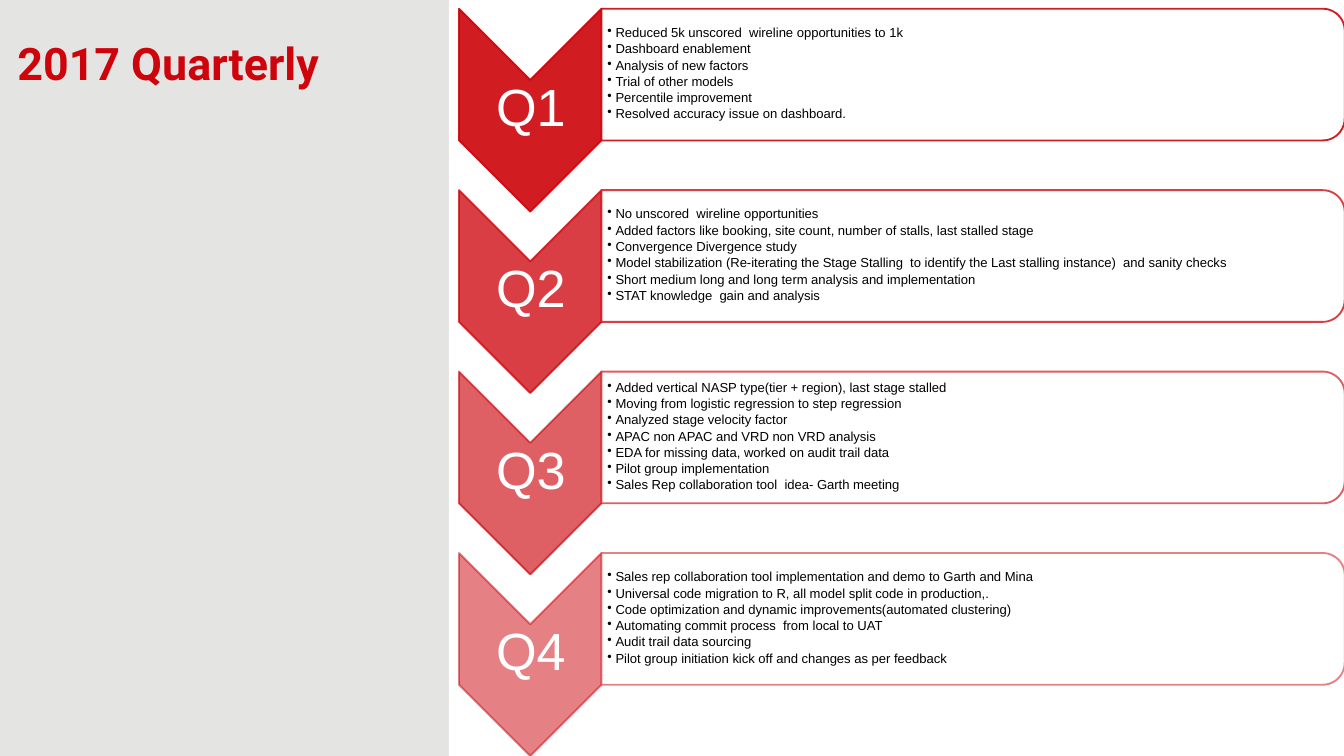
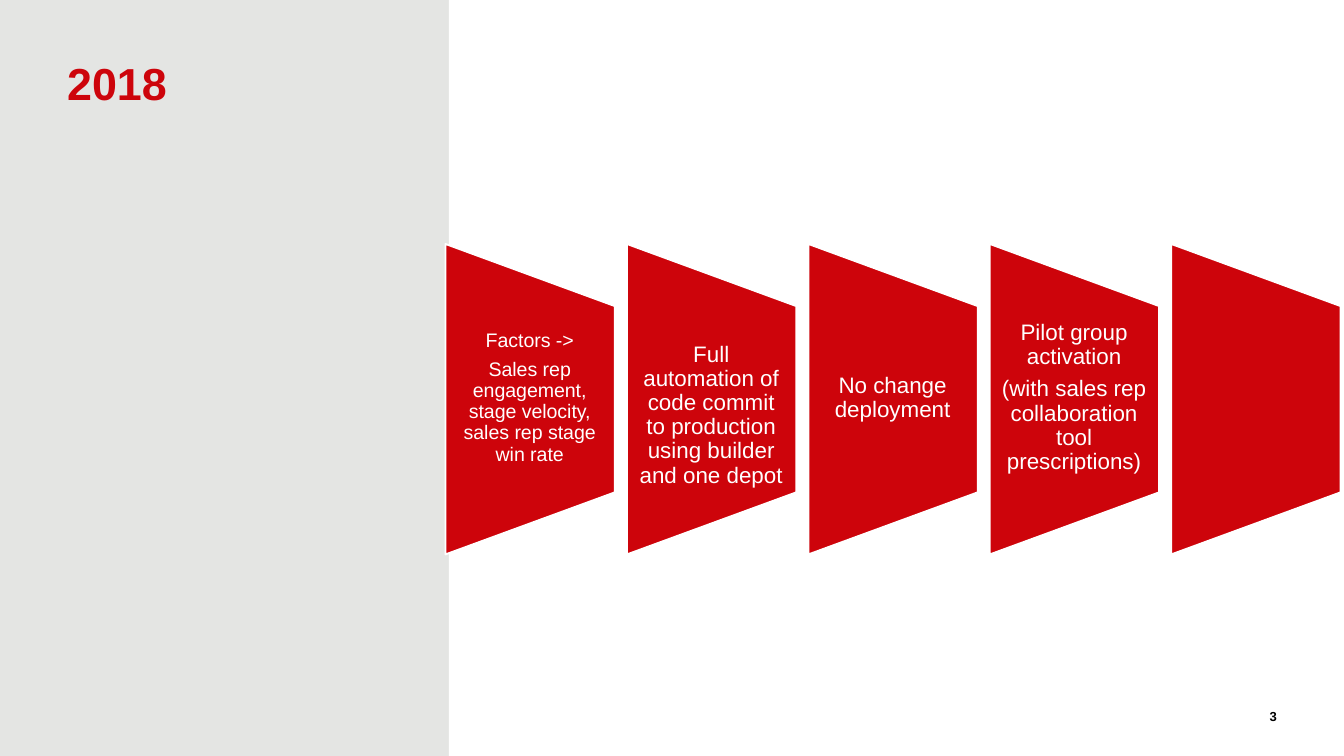
from lxml.etree import SubElement
from pptx import Presentation
from pptx.dml.color import RGBColor
from pptx.enum.shapes import MSO_SHAPE
from pptx.enum.text import MSO_ANCHOR, PP_ALIGN
from pptx.oxml.ns import qn
from pptx.util import Emu, Pt

RED = RGBColor(0xCD, 0x04, 0x0B)
GREY = RGBColor(0xE4, 0xE5, 0xE3)
WHITE = RGBColor(0xFF, 0xFF, 0xFF)
BLACK = RGBColor(0x00, 0x00, 0x00)
SCALE = 4572
PAGE_WIDTH, PAGE_HEIGHT = 2000, 1125
SIDEBAR_WIDTH = 668
PITCH = 270

QUARTERS = [
    ("Q1", 90, [
        "Reduced 5k unscored  wireline opportunities to 1k",
        "Dashboard enablement",
        "Analysis of new factors",
        "Trial of other models",
        "Percentile improvement",
        "Resolved accuracy issue on dashboard.",
    ]),
    ("Q2", 77, [
        "No unscored  wireline opportunities",
        "Added factors like booking, site count, number of stalls, last stalled stage",
        "Convergence Divergence study",
        "Model stabilization (Re-iterating the Stage Stalling  to identify "
        "the Last stalling instance)  and sanity checks",
        "Short medium long and long term analysis and implementation",
        "STAT knowledge  gain and analysis",
    ]),
    ("Q3", 63, [
        "Added vertical NASP type(tier + region), last stage stalled",
        "Moving from logistic regression to step regression",
        "Analyzed stage velocity factor",
        "APAC non APAC and VRD non VRD analysis",
        "EDA for missing data, worked on audit trail data",
        "Pilot group implementation",
        "Sales Rep collaboration tool  idea- Garth meeting",
    ]),
    ("Q4", 50, [
        "Sales rep collaboration tool implementation and demo to Garth and Mina",
        "Universal code migration to R, all model split code in production,.",
        "Code optimization and dynamic improvements(automated clustering)",
        "Automating commit process  from local to UAT",
        "Audit trail data sourcing",
        "Pilot group initiation kick off and changes as per feedback",
    ]),
]

STEPS = [
    (["Factors ->",
      "Sales rep engagement, stage velocity, sales rep stage win rate"], 10.5, 0),
    (["Full automation of code commit to production using builder and one depot"],
     12, 52),
    (["No change deployment"], 12, 0),
    (["Pilot group activation",
      "(with sales rep collaboration tool prescriptions)"], 12, 0),
    ([], 12, 0),
]


def px(length):
    return Emu(int(length * SCALE))


def fade(parent, opacity):
    for color in parent.iter(qn("a:srgbClr")):
        SubElement(color, qn("a:alpha"), val=str(opacity * 1000))


class Builder:
    def __init__(self):
        self.deck = Presentation()
        self.deck.slide_width = px(PAGE_WIDTH)
        self.deck.slide_height = px(PAGE_HEIGHT)
        self.page = None

    def add_page(self):
        self.page = self.deck.slides.add_slide(self.deck.slide_layouts[6])
        background = self.page.background.fill
        background.solid()
        background.fore_color.rgb = GREY
        self.shape(MSO_SHAPE.RECTANGLE, SIDEBAR_WIDTH, 0,
                   PAGE_WIDTH - SIDEBAR_WIDTH, PAGE_HEIGHT, WHITE)

    def shape(self, kind, left, top, width, height, fill, line=None,
              fill_opacity=100, line_opacity=100):
        shape = self.page.shapes.add_shape(
            kind, px(left), px(top), px(width), px(height))
        shape.shadow.inherit = False
        shape.fill.solid()
        shape.fill.fore_color.rgb = fill
        properties = shape._element.spPr
        if fill_opacity < 100:
            fade(properties.find(qn("a:solidFill")), fill_opacity)
        if line is None:
            shape.line.fill.background()
        else:
            shape.line.color.rgb = line
            shape.line.width = Pt(1)
            if line_opacity < 100:
                fade(properties.find(qn("a:ln")), line_opacity)
        return shape

    def turned(self, kind, rotation, left, top, width, height, *style):
        shift = (width - height) / 2
        shape = self.shape(kind, left + shift, top - shift, height, width, *style)
        shape.rotation = rotation

    def text(self, left, top, width, height, lines, size, color, bold=False,
             font="Arial", align=PP_ALIGN.LEFT, anchor=MSO_ANCHOR.TOP,
             insets=(0, 0, 0, 0), space_after=0, spacing=0.9, bullets=False):
        box = self.page.shapes.add_textbox(
            px(left), px(top), px(width), px(height))
        frame = box.text_frame
        frame.word_wrap = True
        frame.vertical_anchor = anchor
        (frame.margin_left, frame.margin_top,
         frame.margin_right, frame.margin_bottom) = map(px, insets)
        frame.text = "\n".join(lines)
        for para in frame.paragraphs:
            para.alignment = align
            para.line_spacing = spacing
            para.space_after = Pt(space_after)
            if bullets:
                self.bullet(para)
            for span in para.runs:
                span.font.name = font
                span.font.size = Pt(size)
                span.font.bold = bold
                span.font.color.rgb = color

    def bullet(self, para):
        para.level = 1
        properties = para._p.get_or_add_pPr()
        properties.set("marL", str(px(12)))
        properties.set("indent", str(px(-12)))
        SubElement(properties, qn("a:buChar"), char="•")

    def title(self, left, top, width, height, words, font="Arial"):
        self.text(left, top, width, height, [words], 24, RED, True, font)

    def quarter(self, top, name, opacity, points):
        self.turned(MSO_SHAPE.CHEVRON, 90, 683, top, 212, 302,
                    RED, RED, opacity, opacity)
        self.text(684, top + 105, 212, 90, [name], 28, WHITE,
                  align=PP_ALIGN.CENTER, anchor=MSO_ANCHOR.MIDDLE,
                  insets=(4, 4, 4, 4))
        self.turned(MSO_SHAPE.ROUND_2_SAME_RECTANGLE, 90, 895, top, 1106, 196,
                    WHITE, RED, 90, opacity)
        self.text(894, top + 9, 1096, 176, points, 7, BLACK,
                  anchor=MSO_ANCHOR.MIDDLE, insets=(10, 0, 0, 0),
                  space_after=1.2, bullets=True)

    def step(self, left, lines, size, top_inset):
        self.turned(MSO_SHAPE.FLOWCHART_MANUAL_OPERATION, 270,
                    left, 363, 252, 462, RED, WHITE)
        if lines:
            self.text(left, 454, 252, 276, lines, size, WHITE,
                      align=PP_ALIGN.CENTER, anchor=MSO_ANCHOR.MIDDLE,
                      insets=(16, top_inset, 17, 0), space_after=4.2)

    def page_number(self, number):
        self.text(1850, 1028, 50, 50, [number], 7, BLACK, True,
                  align=PP_ALIGN.RIGHT, anchor=MSO_ANCHOR.BOTTOM, spacing=1.0)


def main():
    builder = Builder()

    builder.add_page()
    builder.title(26, 62, 640, 96, "2017 Quarterly", "Roboto")
    for row, (name, opacity, points) in enumerate(QUARTERS):
        builder.quarter(13 + row * PITCH, name, opacity, points)

    builder.add_page()
    builder.page_number("3")
    builder.title(100, 92, 466, 908, "2018")
    for column, (lines, size, top_inset) in enumerate(STEPS):
        builder.step(663 + column * PITCH, lines, size, top_inset)

    builder.deck.save("out.pptx")


if __name__ == "__main__":
    main()
